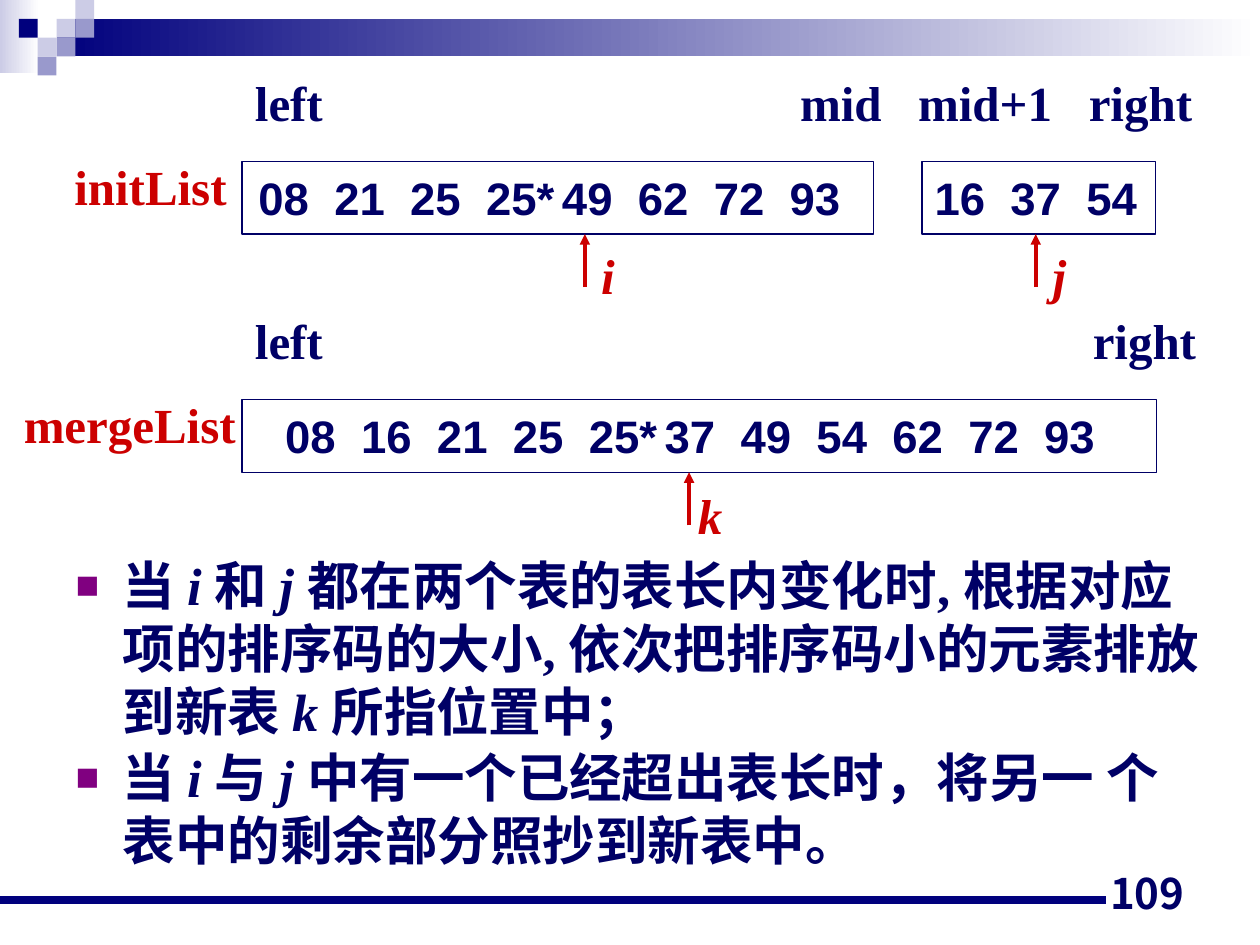
"""Build the slide that explains merging two sorted sublists."""
import lxml.etree
import pptx
import pptx.dml.color
import pptx.enum.shapes
import pptx.enum.text
import pptx.oxml.ns
import pptx.util

Cm, Pt = pptx.util.Cm, pptx.util.Pt
qn = pptx.oxml.ns.qn
rgb = pptx.dml.color.RGBColor.from_string
NAVY, BAND, RED, PALE, LILAC = "000066", "00007D", "CC0000", "CCCCE6", "9999CC"
SERIF = "Times New Roman"


def add_rectangle(left, top, width, height, fill):
    rectangle = slide.shapes.add_shape(
        pptx.enum.shapes.MSO_SHAPE.RECTANGLE, Cm(left), Cm(top), Cm(width), Cm(height))
    rectangle.shadow.inherit = False
    rectangle.line.fill.background()
    rectangle.fill.solid()
    rectangle.fill.fore_color.rgb = rgb(fill)
    return rectangle


def style_run(run, size, font, color, italic=False):
    run.font.size = Pt(size)
    run.font.name = font
    run.font.bold = True
    run.font.italic = italic
    run.font.color.rgb = rgb(color)


presentation = pptx.Presentation()
presentation.slide_width, presentation.slide_height = Cm(25.4), Cm(19.05)
slide = presentation.slides.add_slide(presentation.slide_layouts[1])
title = slide.shapes.title
title.element.getparent().remove(title.element)

for left, top, width, height, start in [
    (0, 0, 0.79, 1.47, PALE),
    (1.14, 0.38, 24.26, 0.76, BAND),
]:
    strip = add_rectangle(left, top, width, height, start)
    strip.fill.gradient()
    strip.fill.gradient_angle = 0
    for stop, color in zip(strip.fill.gradient_stops, (start, "FFFFFF")):
        stop.color.rgb = rgb(color)

tile = 0.38
for column, row, color in [
    (3, 1, PALE), (4, 0, PALE), (4, 1, LILAC), (2, 2, PALE),
    (1, 1, BAND), (3, 2, LILAC), (2, 3, LILAC),
]:
    add_rectangle(column * tile, row * tile, tile, tile, color)

number_pitch = 1.53
for left, top, width, inset, numbers in [
    (4.88, 3.25, 12.73, 0.33, "08 21 25 25* 49 62 72 93"),
    (18.59, 3.25, 4.7, 0.25, "16 37 54"),
    (4.88, 8.05, 18.44, 0.87, "08 16 21 25 25* 37 49 54 62 72 93"),
]:
    record_list = add_rectangle(left, top, width, 1.47, "FFFFFF")
    record_list.line.color.rgb = rgb(NAVY)
    record_list.line.width = Pt(0.75)
    frame = record_list.text_frame
    frame.word_wrap = False
    frame.margin_left = Cm(inset)
    frame.vertical_anchor = pptx.enum.text.MSO_ANCHOR.MIDDLE
    paragraph = frame.paragraphs[0]
    paragraph.text = "\t".join(numbers.split())
    paragraph.alignment = pptx.enum.text.PP_ALIGN.LEFT
    style_run(paragraph.runs[0], 26, "Arial", NAVY)
    tabs = lxml.etree.SubElement(paragraph._p.get_or_add_pPr(), qn("a:tabLst"))
    for position in range(1, len(numbers.split())):
        lxml.etree.SubElement(
            tabs, qn("a:tab"), pos=str(Cm(position * number_pitch)), algn="l")

for left, top, width, wording, color, italic in [
    (5.14, 1.47, 1.5, "left", NAVY, False),
    (16.13, 1.47, 1.8, "mid", NAVY, False),
    (18.51, 1.47, 2.8, "mid+1", NAVY, False),
    (21.95, 1.47, 2.2, "right", NAVY, False),
    (1.5, 3.15, 3.1, "initList", RED, False),
    (12.12, 4.95, 0.5, "i", RED, True),
    (21.22, 4.95, 0.5, "j", RED, True),
    (5.14, 6.27, 1.5, "left", NAVY, False),
    (22.03, 6.27, 2.2, "right", NAVY, False),
    (0.48, 7.95, 4.3, "mergeList", RED, False),
    (14.07, 9.78, 0.6, "k", RED, True),
]:
    label = slide.shapes.add_textbox(Cm(left), Cm(top), Cm(width), Cm(1.2))
    frame = label.text_frame
    frame.margin_left = frame.margin_right = frame.margin_top = frame.margin_bottom = 0
    frame.word_wrap = False
    frame.text = wording
    style_run(frame.paragraphs[0].runs[0], 28, SERIF, color, italic)

for start_x, start_y, end_x, end_y, color, width, pointed in [
    (0, 18.14, 22.3, 18.14, BAND, 4.5, False),
    (11.79, 5.79, 11.79, 4.72, RED, 2, True),
    (20.88, 5.79, 20.88, 4.72, RED, 2, True),
    (13.89, 10.59, 13.89, 9.52, RED, 2, True),
]:
    line = slide.shapes.add_connector(
        pptx.enum.shapes.MSO_CONNECTOR.STRAIGHT,
        Cm(start_x), Cm(start_y), Cm(end_x), Cm(end_y))
    line.line.color.rgb = rgb(color)
    line.line.width = Pt(width)
    properties = line._element.spPr
    if pointed:
        lxml.etree.SubElement(properties.find(qn("a:ln")), qn("a:tailEnd"), type="triangle")
    lxml.etree.SubElement(properties, qn("a:effectLst"))

rules = slide.placeholders[1]
rules.left, rules.top, rules.width, rules.height = Cm(1.27), Cm(11.02), Cm(23.24), Cm(7.42)
frame = rules.text_frame
frame.auto_size = pptx.enum.text.MSO_AUTO_SIZE.NONE
for index, pieces in enumerate([
    ["当 ", "i ", "和 ", "j ",
     "都在两个表的表长内变化时, 根据对应项的排序码的大小, 依次把排序码小的元素排放到新表 ",
     "k ", "所指位置中；"],
    ["当 ", "i ", "与 ", "j ",
     "中有一个已经超出表长时，将另一 个表中的剩余部分照抄到新表中。"],
]):
    paragraph = frame.add_paragraph() if index else frame.paragraphs[0]
    for piece in pieces:
        run = paragraph.add_run()
        run.text = piece
        style_run(run, 30, SERIF, NAVY, piece.isascii())
    paragraph.space_before = Pt(1.9)
    paragraph.line_spacing = Pt(36)
    settings = paragraph._p.get_or_add_pPr()
    settings.set("marL", str(Cm(0.95)))
    settings.set("indent", str(Cm(-0.95)))
    bullet_color = lxml.etree.SubElement(settings, qn("a:buClr"))
    lxml.etree.SubElement(bullet_color, qn("a:srgbClr"), val="800080")
    lxml.etree.SubElement(settings, qn("a:buSzPct"), val="75000")
    lxml.etree.SubElement(settings, qn("a:buChar"), char="■")

page_number = slide.shapes.add_textbox(Cm(18.21), Cm(17.35), Cm(5.92), Cm(1.27))
frame = page_number.text_frame
frame.word_wrap = True
frame.vertical_anchor = pptx.enum.text.MSO_ANCHOR.BOTTOM
frame.text = "109"
frame.paragraphs[0].alignment = pptx.enum.text.PP_ALIGN.RIGHT
style_run(frame.paragraphs[0].runs[0], 24, "Noto Sans CJK JP", NAVY)

presentation.save("out.pptx")
